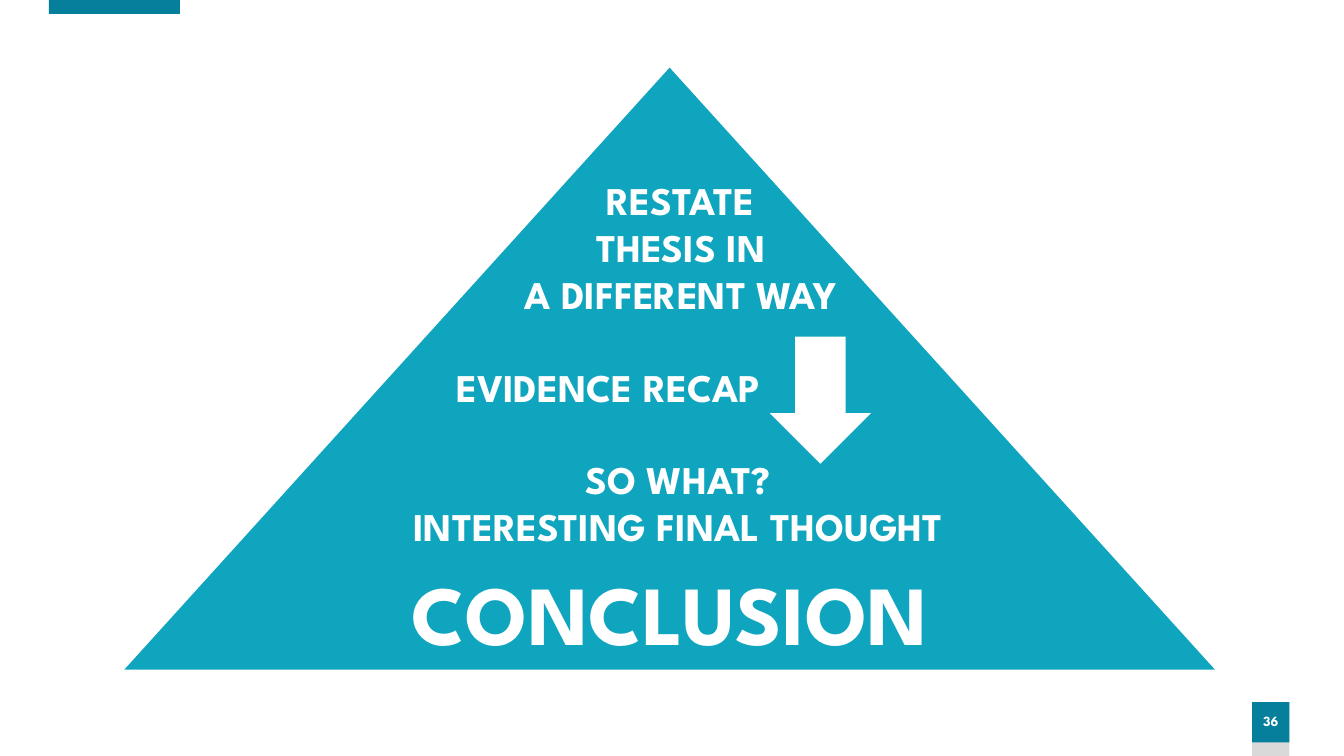
from pptx import Presentation
from pptx import util as u
from pptx.dml.color import RGBColor
from pptx.enum import shapes, text

Pt = u.Pt
FONT = "League Spartan"
WHITE, TEAL, DARK_TEAL, GREY = "FFFFFF", "0FA5BE", "067F9C", "D9D9D9"
TEXT_WIDTH = 509


def color(value):
    return RGBColor.from_string(value)


def add_block(slide, kind, left, top, width, height, fill):
    """Add a flat shape without outline."""
    sp = slide.shapes.add_shape(kind, Pt(left), Pt(top), Pt(width), Pt(height))
    sp.shadow.inherit = False
    sp.fill.solid()
    sp.fill.fore_color.rgb = color(fill)
    sp.line.fill.background()
    return sp


def write_lines(tf, lines, size):
    """Fill a text frame with centred bold white paragraphs."""
    tf.word_wrap = True
    for i, line in enumerate(lines):
        p = tf.paragraphs[0] if i == 0 else tf.add_paragraph()
        p.text = line
        p.alignment = text.PP_ALIGN.CENTER
        p.font.name = FONT
        p.font.size = Pt(size)
        p.font.bold = True
        p.font.color.rgb = color(WHITE)


def add_label(slide, left, top, height, lines):
    sp = slide.shapes.add_textbox(Pt(left), Pt(top), Pt(TEXT_WIDTH), Pt(height))
    write_lines(sp.text_frame, lines, 28)
    sp.text_frame.auto_size = text.MSO_AUTO_SIZE.SHAPE_TO_FIT_TEXT


def place_title(slide, left, top, height, title):
    sp = slide.shapes.title
    sp.left, sp.top, sp.width, sp.height = Pt(left), Pt(top), Pt(TEXT_WIDTH), Pt(height)
    tf = sp.text_frame
    write_lines(tf, [title], 60)
    tf.vertical_anchor = text.MSO_ANCHOR.TOP
    tf.auto_size = text.MSO_AUTO_SIZE.SHAPE_TO_FIT_TEXT
    # Bring the title in front of the triangle
    slide.shapes._spTree.append(sp._element)


def add_page_number(slide, number):
    rect = shapes.MSO_SHAPE.RECTANGLE
    add_block(slide, rect, 894.4, 501.6, 26.6, 38.4, GREY)
    sp = add_block(slide, rect, 894.4, 501.6, 26.6, 28.8, DARK_TEAL)
    tf = sp.text_frame
    write_lines(tf, [number], 10)
    tf.margin_left = tf.margin_right = 0
    tf.vertical_anchor = text.MSO_ANCHOR.MIDDLE
    tf.paragraphs[0].line_spacing = 0.9


def main():
    prs = Presentation()
    prs.slide_width, prs.slide_height = Pt(960), Pt(540)
    slide = prs.slides.add_slide(prs.slide_layouts[5])

    # Page furniture
    add_block(slide, shapes.MSO_SHAPE.RECTANGLE, 35, 0, 93.6, 10, DARK_TEAL)
    add_page_number(slide, "36")

    # Triangle with its title and arrow
    add_block(slide, shapes.MSO_SHAPE.ISOSCELES_TRIANGLE, 88.8, 48.3, 779, 430, TEAL)
    place_title(slide, 224, 397.5, 80, "CONCLUSION")
    add_block(slide, shapes.MSO_SHAPE.DOWN_ARROW, 550, 240.5, 72, 90.7, WHITE)

    # Steps of the conclusion
    add_label(slide, 231.8, 122.4, 108.7, ["RESTATE", "THESIS IN", "A DIFFERENT WAY"])
    add_label(slide, 229.7, 321.8, 75, ["SO WHAT?", "INTERESTING FINAL THOUGHT"])
    add_label(slide, 180, 256.3, 41, ["EVIDENCE RECAP"])

    prs.save("out.pptx")


if __name__ == "__main__":
    main()
